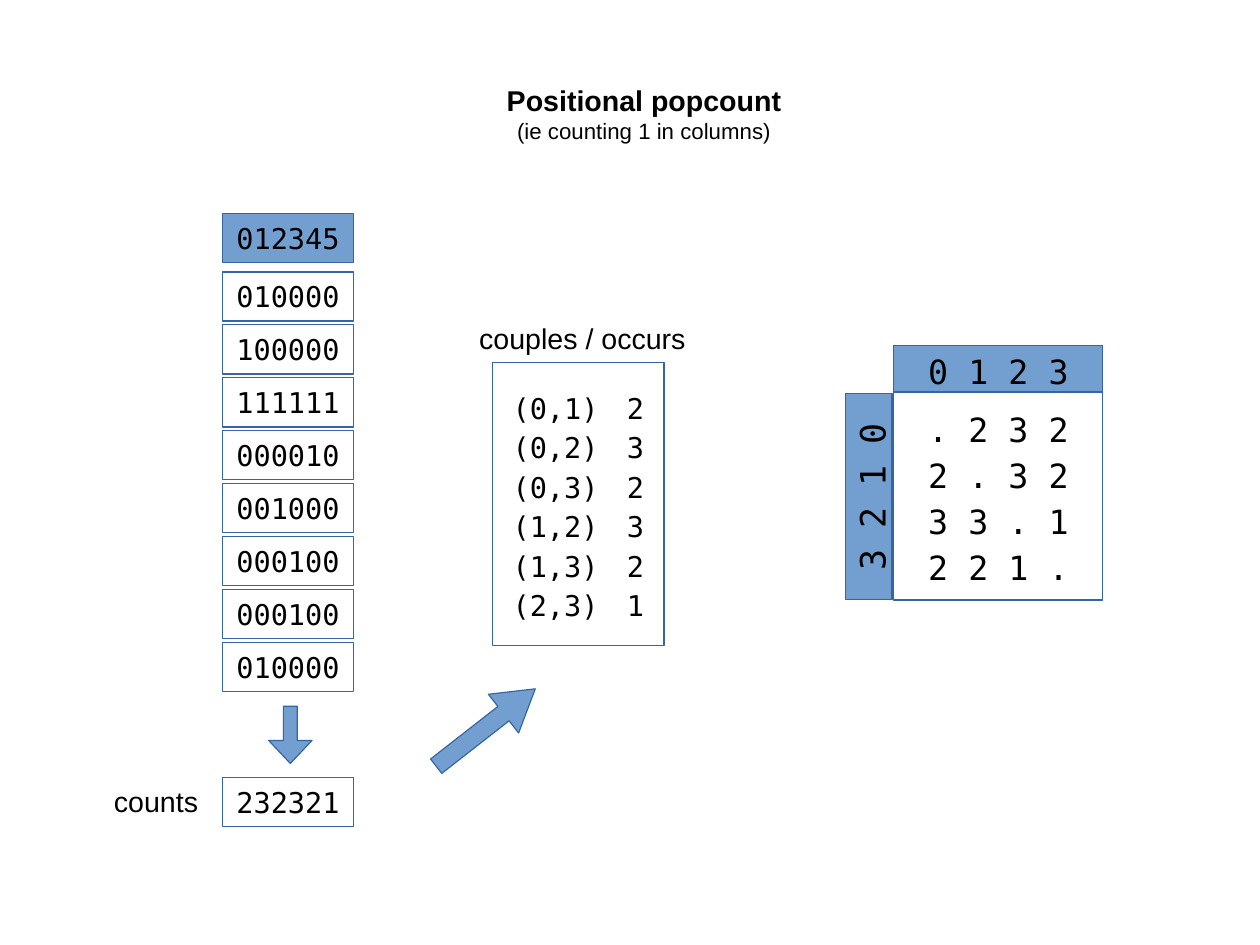
import pptx
import pptx.util
import pptx.dml.color
import pptx.enum.shapes
import pptx.enum.text

Inches = pptx.util.Inches
Pt = pptx.util.Pt
SHAPE = pptx.enum.shapes.MSO_SHAPE
BLACK = pptx.dml.color.RGBColor(0x00, 0x00, 0x00)
BLUE = pptx.dml.color.RGBColor(0x72, 0x9F, 0xCF)
EDGE = pptx.dml.color.RGBColor(0x34, 0x65, 0xA4)

SANS = {"name": "Arial", "size": Pt(18), "bold": False}
MONO = {"name": "DejaVu Sans Mono", "size": Pt(18), "bold": False}
GRID = {**MONO, "size": Pt(21)}
SIDE = {**MONO, "size": Pt(22)}
FRAME = {
    "word_wrap": True,
    "vertical_anchor": pptx.enum.text.MSO_ANCHOR.MIDDLE,
    "margin_left": Inches(0.1),
    "margin_right": Inches(0.1),
    "margin_top": Inches(0.05),
    "margin_bottom": Inches(0.05),
}

WORDS = ["010000", "100000", "111111", "000010",
         "001000", "000100", "000100", "010000"]
PAIRS = ["(0,1)\t2", "(0,2)\t3", "(0,3)\t2",
         "(1,2)\t3", "(1,3)\t2", "(2,3)\t1"]
CELLS = [". 2 3 2", "2 . 3 2", "3 3 . 1", "2 2 1 ."]


def apply(item, values):
    for name, value in values.items():
        setattr(item, name, value)


def write(shape, lines, fonts, space=None):
    """Put one centred paragraph per line, each with its own font."""
    frame = shape.text_frame
    apply(frame, FRAME)
    for i, (line, font) in enumerate(zip(lines, fonts)):
        para = frame.add_paragraph() if i else frame.paragraphs[0]
        para.alignment = pptx.enum.text.PP_ALIGN.CENTER
        if space:
            para.line_spacing = space
        run = para.add_run()
        run.text = line
        apply(run.font, font)
        run.font.color.rgb = BLACK


def label(slide, place, lines, fonts):
    box = slide.shapes.add_textbox(*map(Inches, place))
    write(box, lines, fonts)


def draw(slide, kind, place, fill=None, turn=0):
    shape = slide.shapes.add_shape(kind, *map(Inches, place))
    shape.shadow.inherit = False
    shape.rotation = turn
    if fill is None:
        shape.fill.background()
    else:
        shape.fill.solid()
        shape.fill.fore_color.rgb = fill
    shape.line.color.rgb = EDGE
    shape.line.width = Pt(0)
    return shape


def panel(slide, place, lines, font=MONO, fill=None, space=None, turn=0):
    shape = draw(slide, SHAPE.RECTANGLE, place, fill, turn)
    write(shape, lines, [font] * len(lines), space)


def arrow(slide, place, turn, shaft, head):
    shape = draw(slide, SHAPE.RIGHT_ARROW, place, BLUE, turn)
    shape.adjustments[0] = shaft
    shape.adjustments[1] = head


def main():
    # Page of 280 by 210 millimetres
    deck = pptx.Presentation()
    deck.slide_width = Inches(280 / 25.4)
    deck.slide_height = Inches(210 / 25.4)
    slide = deck.slides.add_slide(deck.slide_layouts[6])

    # Title
    label(slide, (3.77, 0.74, 3.73, 0.5),
          ["Positional popcount", "(ie counting 1 in columns)"],
          [{**SANS, "bold": True}, {**SANS, "size": Pt(14)}])

    # Input words under their column header, then the counts
    step = 3.24 / (len(WORDS) - 1)
    for i, word in enumerate(WORDS):
        panel(slide, (1.95, 2.38 + i * step, 1.14, 0.43), [word])
    panel(slide, (1.95, 1.87, 1.14, 0.43), ["012345"], fill=BLUE)
    panel(slide, (1.95, 6.8, 1.14, 0.43), ["232321"])
    label(slide, (0.74, 6.76, 1.25, 0.5), ["counts"], [SANS])

    # Pairs and how often they occur
    label(slide, (4.05, 2.71, 2.09, 0.5), ["couples / occurs"], [SANS])
    panel(slide, (4.31, 3.17, 1.5, 2.48), PAIRS, space=1.15)

    # Arrows between the stages
    arrow(slide, (3.7, 6.15, 1.1, 0.43), 322, 0.37, 0.82)
    arrow(slide, (2.29, 6.24, 0.5, 0.38), 90, 0.32, 0.53)

    # Matrix with its top and side headers
    panel(slide, (7.82, 3.42, 1.83, 1.83), CELLS, GRID, space=1.15)
    panel(slide, (7.82, 3.02, 1.83, 0.41), ["0 1 2 3"], GRID, BLUE, 1.15)
    panel(slide, (6.7, 4.14, 1.8, 0.41), ["3 2 1 0"], SIDE, BLUE, 1.15, 270)

    deck.save("out.pptx")


if __name__ == "__main__":
    main()
